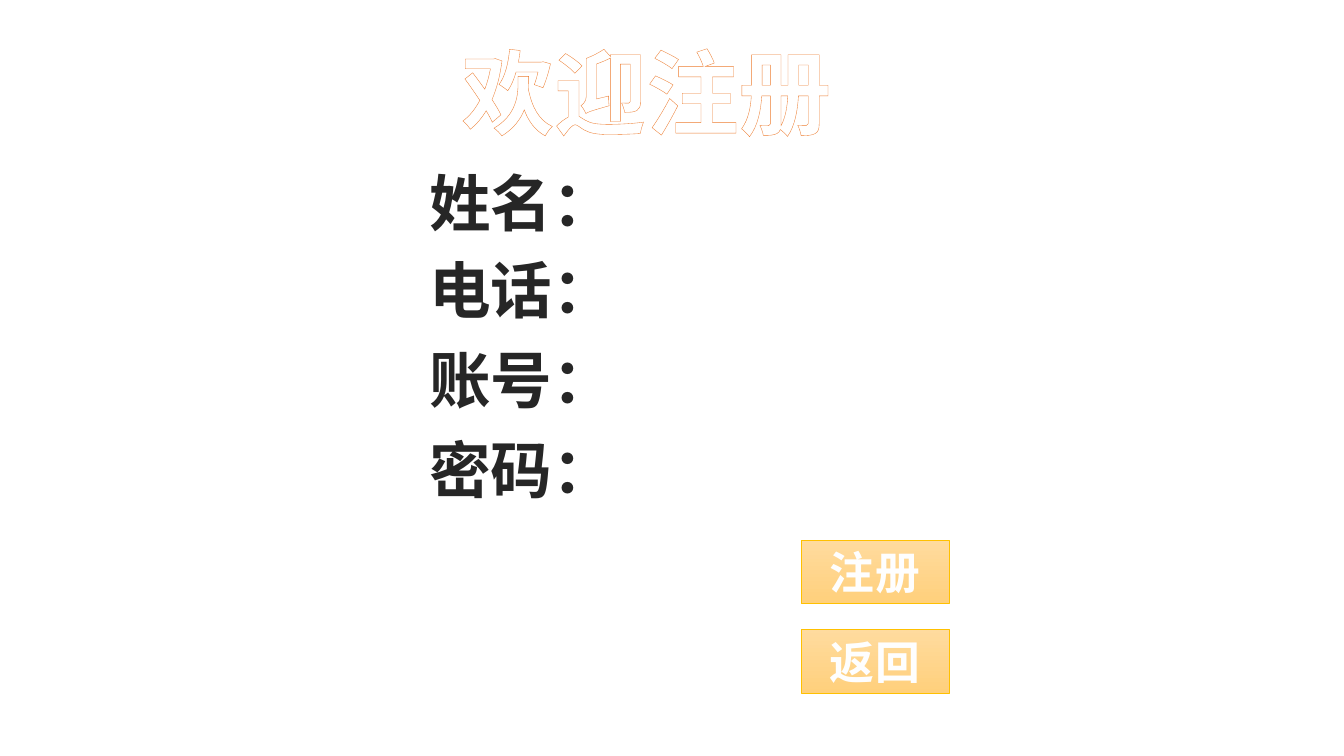
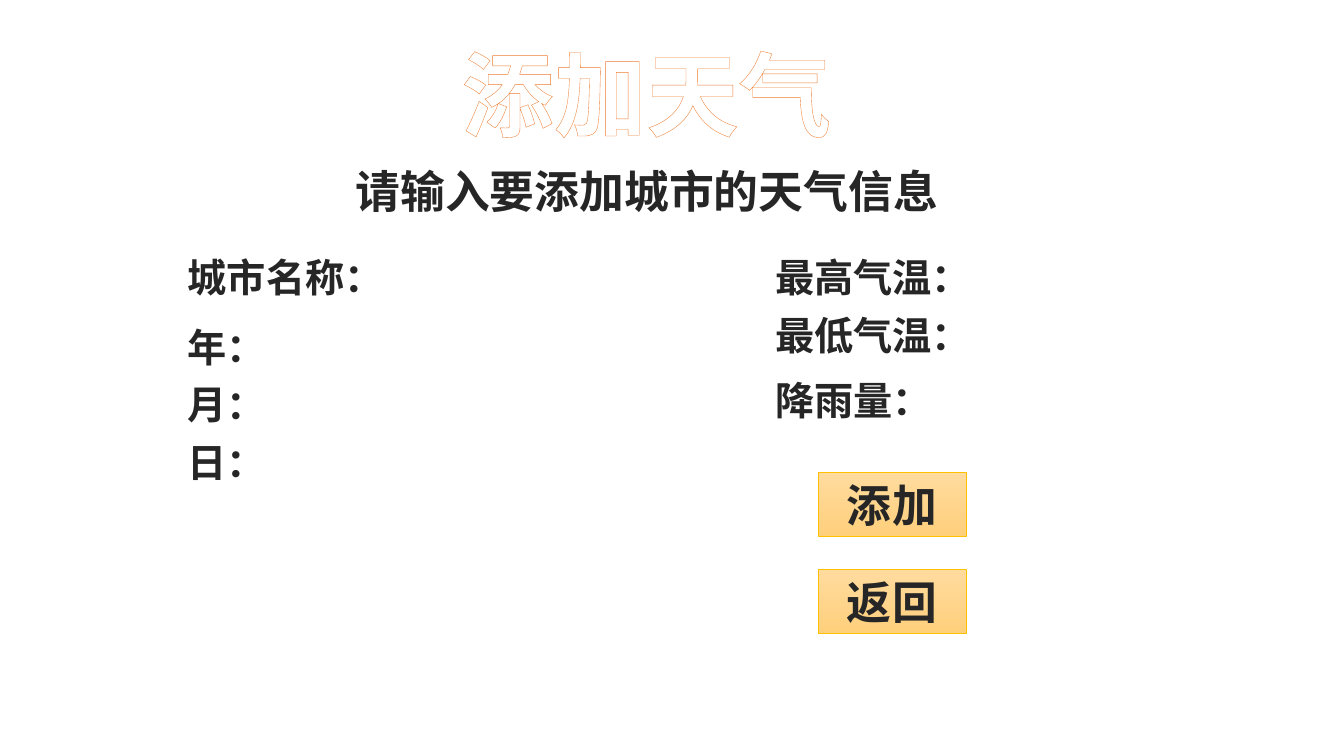
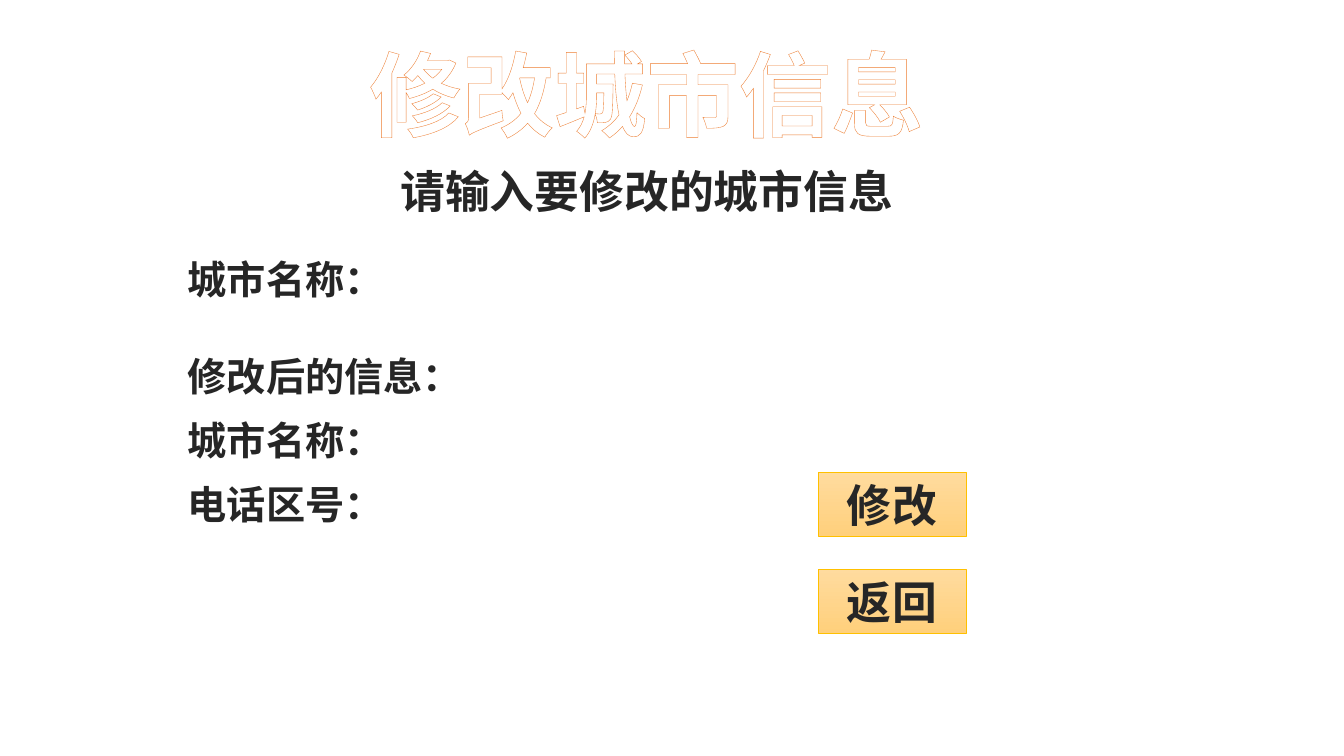
"""Build the three form screens of a weather system."""
from dataclasses import dataclass

from lxml import etree
from pptx import Presentation
from pptx.dml.color import RGBColor as Rgb
from pptx.enum.shapes import MSO_SHAPE as Kind
from pptx.enum.text import MSO_ANCHOR as Anchor, MSO_AUTO_SIZE as Fit, PP_ALIGN as Align
from pptx.oxml import parse_xml
from pptx.oxml.ns import nsdecls, qn
from pptx.util import Cm, Pt


@dataclass(frozen=True)
class Theme:
    font: str = "Noto Sans CJK SC"
    white: str = "FFFFFF"
    pale: str = "FEFEFE"
    ink: str = "262626"
    orange: str = "ED7D31"
    blue: str = "4472C4"
    gold: str = "FFC000"
    light: str = "FFDB9E"
    deep: str = "FFD07C"
    title: int = 66
    large: int = 44
    lead: int = 32
    field: int = 28


T = Theme()
DARK = dict(color=T.ink, edge=T.white, thick=1.06)
GLOW = dict(color=T.pale, edge=T.blue, thick=0.75, shade=True)
LEFT, RIGHT = 4.45, 19.25

PAGES = [
    dict(
        title="欢迎注册", top=0.76, lead=None, size=T.large,
        fields=[("姓名：", 10.54, 4.04), ("电话：", 10.54, 6.22),
                ("账号：", 10.54, 8.48), ("密码：", 10.54, 10.77)],
        keys=["注册", "返回"], spot=(20.19, 13.61), step=2.26, look=GLOW,
    ),
    dict(
        title="添加天气", top=0.81, lead="请输入要添加城市的天气信息", size=T.field,
        fields=[("城市名称：", LEFT, 6.27), ("年：", LEFT, 8.03),
                ("月：", LEFT, 9.47), ("日：", LEFT, 10.92),
                ("最高气温：", RIGHT, 6.25), ("最低气温：", RIGHT, 7.72),
                ("降雨量：", RIGHT, 9.35)],
        keys=["添加", "返回"], spot=(20.62, 11.91), step=2.44, look=DARK,
    ),
    dict(
        title="修改城市信息", top=0.81, lead="请输入要修改的城市信息", size=T.field,
        fields=[("城市名称：", LEFT, 6.32), ("修改后的信息：", LEFT, 8.76),
                ("城市名称：", LEFT, 10.36), ("电话区号：", LEFT, 11.99)],
        keys=["修改", "返回"], spot=(20.62, 11.91), step=2.44, look=DARK,
    ),
]


def write(shape, text, size, color, edge, thick, shade=False, gap=0,
          wrap=True, anchor=Anchor.TOP, fit=Fit.SHAPE_TO_FIT_TEXT):
    frame = shape.text_frame
    frame.word_wrap, frame.vertical_anchor, frame.auto_size = wrap, anchor, fit
    para = frame.paragraphs[0]
    para.alignment = Align.CENTER
    run = para.add_run()
    run.text = text
    font = run.font
    font.name, font.size, font.bold = T.font, Pt(size), True
    font.color.rgb = Rgb.from_string(color)
    props = para.runs[0].font._element if hasattr(font, "_element") else run._r.get_or_add_rPr()
    etree.SubElement(props, qn("a:ea"), typeface=T.font)
    if gap:
        props.set("spc", str(gap))
    props.insert(0, parse_xml(
        f'<a:ln {nsdecls("a")} w="{Pt(thick)}"><a:solidFill>'
        f'<a:srgbClr val="{edge}"/></a:solidFill></a:ln>'))
    if shade:
        props.insert(2, parse_xml(
            f'<a:effectLst {nsdecls("a")}><a:outerShdw blurRad="38100" dist="19050" '
            'dir="2700000"><a:srgbClr val="000000"><a:alpha val="40000"/>'
            '</a:srgbClr></a:outerShdw></a:effectLst>'))


def label(slide, text, x, y, size):
    wide = len(text) * Pt(size) + Cm(0.56)
    box = slide.shapes.add_textbox(Cm(x), Cm(y), wide, Pt(size * 1.2) + Cm(0.25))
    write(box, text, size, wrap=False, **DARK)


def button(slide, text, x, y, look):
    key = slide.shapes.add_shape(Kind.RECTANGLE, Cm(x), Cm(y), Cm(3.73), Cm(1.6))
    key.shadow.inherit = False
    key.fill.gradient()
    key.fill.gradient_angle = 270
    for stop, tint in zip(key.fill.gradient_stops, (T.light, T.deep)):
        stop.color.rgb = Rgb.from_string(tint)
    key.line.color.rgb = Rgb.from_string(T.gold)
    key.line.width = Pt(0.5)
    write(key, text, T.lead, gap=50, anchor=Anchor.MIDDLE, fit=Fit.NONE, **look)


def build(deck, page):
    slide = deck.slides.add_slide(deck.slide_layouts[5])
    head = slide.shapes.title
    head.left, head.top, head.width, head.height = (
        Cm(7.82), Cm(page["top"]), Cm(16.94), Cm(3.07))
    write(head, page["title"], T.title, T.white, T.orange, 0.52)
    if page["lead"]:
        box = slide.shapes.add_textbox(Cm(7.21), Cm(3.99), Cm(18.19), Cm(1.63))
        write(box, page["lead"], T.lead, **DARK)
    for text, x, y in page["fields"]:
        label(slide, text, x, y, page["size"])
    x, y = page["spot"]
    for row, text in enumerate(page["keys"]):
        button(slide, text, x, y + row * page["step"], page["look"])


def main():
    deck = Presentation()
    deck.slide_width, deck.slide_height = Cm(33.87), Cm(19.05)
    for page in PAGES:
        build(deck, page)
    deck.save("out.pptx")


if __name__ == "__main__":
    main()
